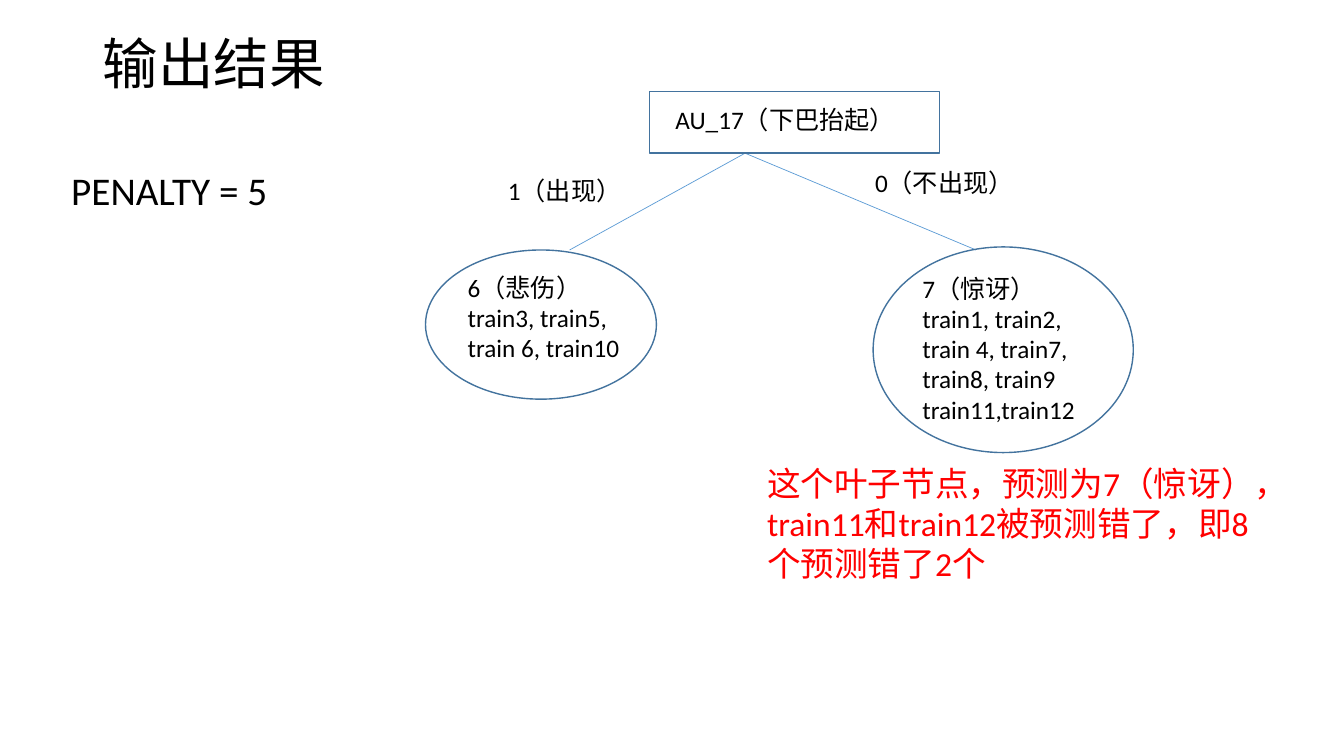
from collections import namedtuple

from lxml.etree import SubElement
from pptx import Presentation
from pptx.dml.color import RGBColor
from pptx.enum.shapes import MSO_CONNECTOR, MSO_SHAPE
from pptx.enum.text import MSO_ANCHOR
from pptx.oxml.ns import qn
from pptx.util import Inches, Pt

BLACK = RGBColor(0x00, 0x00, 0x00)
RED = RGBColor(0xFF, 0x00, 0x00)
OUTLINE = RGBColor(0x43, 0x73, 0x9E)
BRANCH = RGBColor(0x5B, 0x9B, 0xD5)
FONT = "Calibri"

Box = namedtuple("Box", "left top width height")


def inside(box, left, top, width, height):
    """Return a box placed relative to the corner of another."""
    return Box(box.left + left, box.top + top, width, height)


def add_text(slide, box, *lines, size=18, color=BLACK, anchor=MSO_ANCHOR.TOP, spacing=None):
    """Add a wrapping text box with one paragraph per line."""
    frame = slide.shapes.add_textbox(*map(Inches, box)).text_frame
    frame.word_wrap = True
    frame.vertical_anchor = anchor
    for index, line in enumerate(lines):
        paragraph = frame.add_paragraph() if index else frame.paragraphs[0]
        paragraph.line_spacing = spacing
        run = paragraph.add_run()
        run.text = line
        run.font.name = FONT
        run.font.size = Pt(size)
        run.font.color.rgb = color


def add_node(slide, kind, box, text_box, *lines):
    """Add an outlined tree node and its text."""
    shape = slide.shapes.add_shape(kind, *map(Inches, box))
    shape.shadow.inherit = False
    shape.fill.background()
    shape.line.color.rgb = OUTLINE
    shape.line.width = Pt(1)
    add_text(slide, text_box, *lines)


def add_branch(slide, start, end):
    """Add a thin line between two points."""
    connector = slide.shapes.add_connector(
        MSO_CONNECTOR.STRAIGHT, *map(Inches, (*start, *end)))
    connector.line.color.rgb = BRANCH
    connector.line.width = Pt(0.5)
    SubElement(connector._element.spPr, qn("a:effectLst"))


def draw_heading(slide, box):
    """Draw the slide title and the penalty setting below it."""
    add_text(slide, inside(box, 0.4, 0, 11.5, 0.51), "输出结果",
             size=39.6, anchor=MSO_ANCHOR.MIDDLE, spacing=0.9)
    add_text(slide, inside(box, 0, 1.2, 2.78, 0.57), " PENALTY = 5", size=28)


def draw_tree(slide, box):
    """Draw the decision tree with its root, two branches and two leaves."""
    fork = (box.left + 3.17, box.top + 0.61)
    for reach in (-1.74, 2.29):
        add_branch(slide, fork, (fork[0] + reach, fork[1] + 0.96))
    add_text(slide, inside(box, 0.72, 0.78, 1.66, 0.4), "1（出现）")
    add_text(slide, inside(box, 4.36, 0.7, 1.98, 0.4), "0（不出现）")
    add_node(slide, MSO_SHAPE.RECTANGLE, inside(box, 2.22, 0, 2.88, 0.61),
             inside(box, 2.38, 0.08, 2.85, 0.4), "AU_17（下巴抬起）")
    add_node(slide, MSO_SHAPE.OVAL, inside(box, 0, 1.57, 2.29, 1.48),
             inside(box, 0.32, 1.74, 1.98, 1),
             "6（悲伤）", "train3, train5, train 6, train10")
    add_node(slide, MSO_SHAPE.OVAL, inside(box, 4.44, 1.54, 2.58, 2.04),
             inside(box, 4.83, 1.75, 1.82, 1.6),
             "7（惊讶）", "train1, train2, train 4, train7, train8, train9",
             "train11,train12")


def draw_note(slide, box):
    """Draw the red remark on the wrongly predicted samples."""
    add_text(slide, box,
             "这个叶子节点，预测为7（惊讶），train11和train12被预测错了，即8个预测错了2个",
             size=24, color=RED)


def main():
    """Build the slide and save it."""
    presentation = Presentation()
    presentation.slide_width = Inches(13.33)
    presentation.slide_height = Inches(7.5)
    slide = presentation.slides.add_slide(presentation.slide_layouts[6])
    draw_heading(slide, Box(0.52, 0.4, 11.9, 1.77))
    draw_tree(slide, Box(4.22, 0.91, 7.02, 3.58))
    draw_note(slide, Box(7.51, 4.54, 5.19, 1.31))
    presentation.save("out.pptx")


if __name__ == "__main__":
    main()
